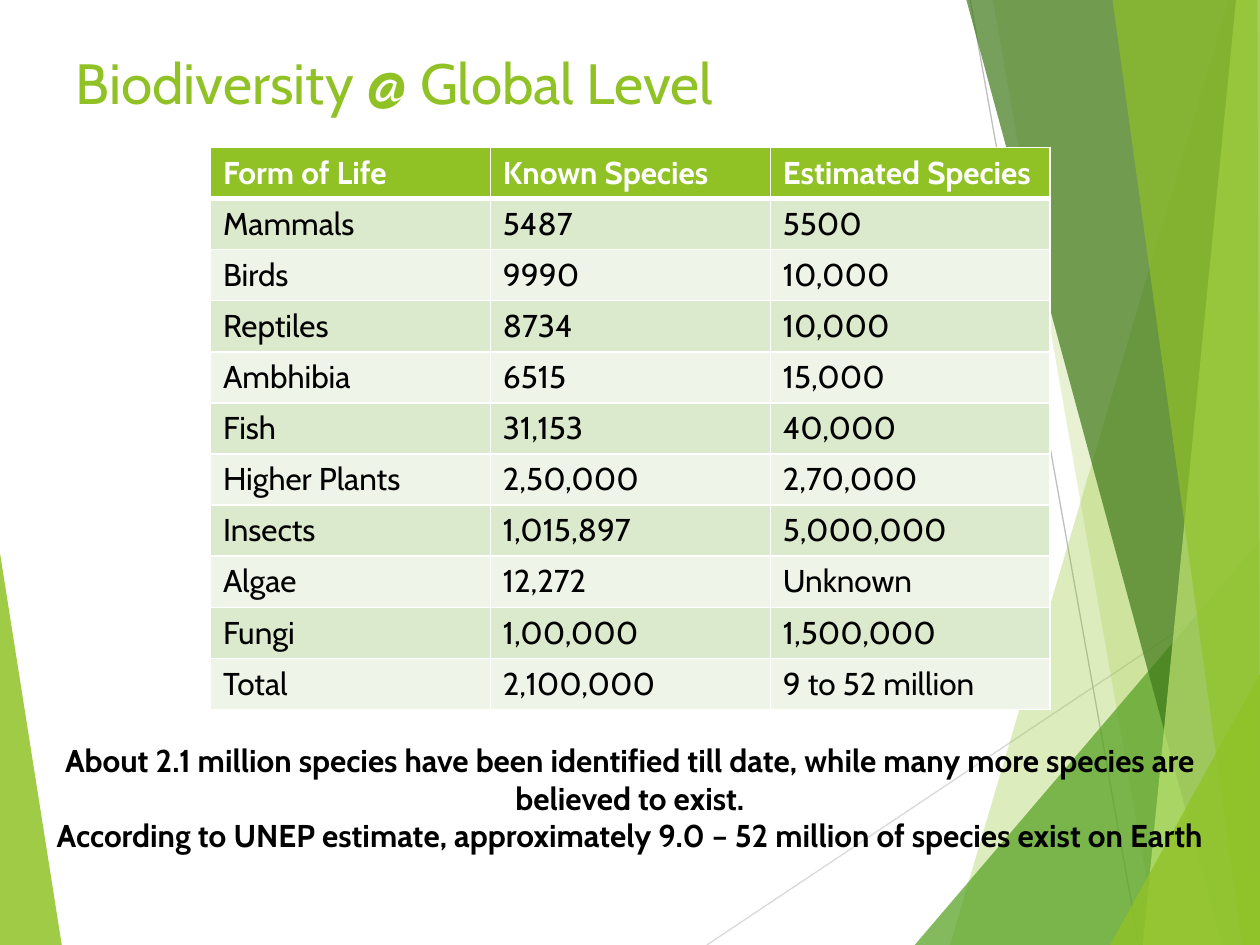
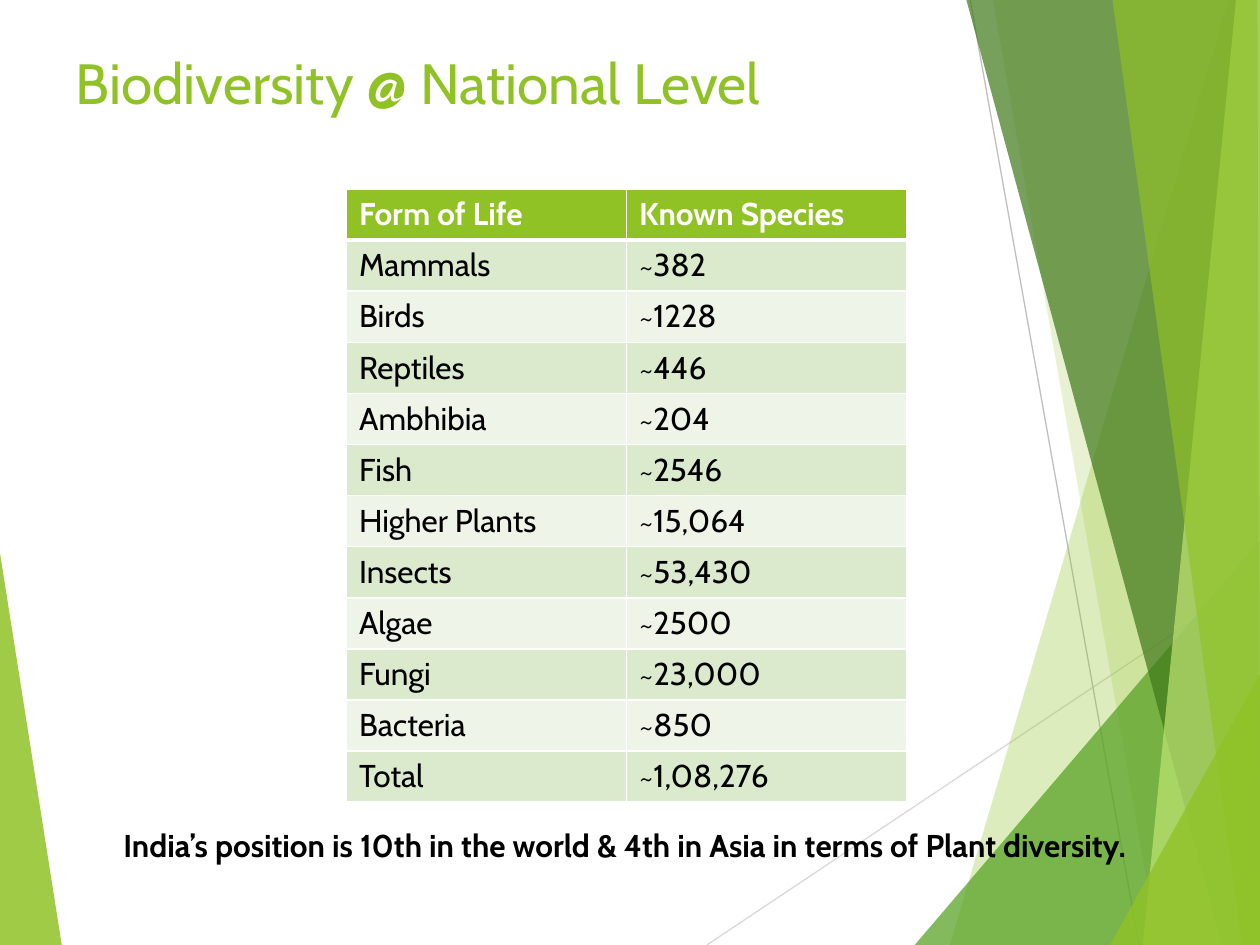
from dataclasses import dataclass

from lxml.etree import SubElement
from pptx import Presentation
from pptx.dml.color import RGBColor as Color
from pptx.enum.shapes import MSO_CONNECTOR as Connector
from pptx.enum.text import MSO_ANCHOR as Anchor, MSO_AUTO_SIZE as AutoSize, PP_ALIGN as Align
from pptx.oxml.ns import qn
from pptx.util import Inches, Pt


@dataclass(frozen=True)
class Theme:
    font: str = "Cabin"
    title_size: float = 32.4
    text_size: float = 18
    green: str = "90C226"
    leaf: str = "54A021"
    forest: str = "3F7819"
    lime: str = "C0E474"
    white: str = "FFFFFF"
    black: str = "000000"
    bands: tuple = ("DBE9CD", "EEF4E8")


theme = Theme()
deck = Presentation()
deck.slide_width, deck.slide_height = Inches(10), Inches(7.5)
unit = deck.slide_width // 100  # the slide is a grid of 100 columns by 75 rows


def grid(*lengths):
    return [int(length * unit) for length in lengths]


def add_text(para, text, size, color, bold=False):
    span = para.add_run()
    span.text = text
    span.font.name, span.font.size, span.font.bold = theme.font, Pt(size), bold
    span.font.color.rgb = Color.from_string(color)


# Each shard: colour, opacity in percent, corners on the grid
shards = [
    (theme.green, 85, [(0, 43.9), (4.9, 75), (0, 75)]),
    (theme.green, 30, [(97.5, 0), (75.4, 75), (100, 75), (100, 0)]),
    (theme.green, 20, [(78.8, 0), (91.9, 75), (100, 75), (100, 0)]),
    (theme.leaf, 72, [(72.6, 75), (100, 42.9), (100, 75)]),
    (theme.forest, 70, [(76.7, 0), (97, 75), (100, 75), (100, 0)]),
    (theme.lime, 70, [(98.1, 0), (90.7, 75), (100, 75), (100, 0)]),
    (theme.green, 65, [(88.3, 0), (98.6, 75), (100, 75), (99.8, 0)]),
    (theme.green, 80, [(88.1, 75), (100, 53.5), (100, 75)]),
]
hairlines = [("D9D9D9", (56.1, 75, 100, 45.7)), ("BFBFBF", (77, 0, 90.4, 75))]

forms = ["Mammals", "Birds", "Reptiles", "Ambhibia", "Fish", "Higher Plants",
         "Insects", "Algae", "Fungi"]
pages = [
    {
        "title": "Biodiversity @ Global Level",
        "table_at": (16.7, 11.7),
        "columns": {
            "Form of Life": forms + ["Total"],
            "Known Species": ["5487", "9990", "8734", "6515", "31,153", "2,50,000",
                              "1,015,897", "12,272", "1,00,000", "2,100,000"],
            "Estimated Species": ["5500", "10,000", "10,000", "15,000", "40,000", "2,70,000",
                                  "5,000,000", "Unknown", "1,500,000", "9 to 52 million"],
        },
        "caption_at": (2.5, 58.3, 95, 13.1),
        "caption": [
            "About 2.1 million species have been identified till date, "
            "while many more species are believed to exist.",
            "According to UNEP estimate, approximately 9.0 – 52 million of species exist on Earth",
        ],
    },
    {
        "title": "Biodiversity @ National Level",
        "table_at": (27.5, 15),
        "columns": {
            "Form of Life": forms + ["Bacteria", "Total"],
            "Known Species": ["~382", "~1228", "~446", "~204", "~2546", "~15,064",
                              "~53,430", "~2500", "~23,000", "~850", "~1,08,276"],
        },
        "caption_at": (4.2, 65.1, 90.8, 4),
        "caption": ["India’s position is 10th in the world & 4th in Asia "
                    "in terms of Plant diversity."],
    },
]

layout = deck.slide_layouts[5]
slides = [deck.slides.add_slide(layout) for _ in pages]

# Draw the backdrop on the first slide, then move it to the shared layout
backdrop = []
for color, opacity, corners in shards:
    start, *others = [grid(*corner) for corner in corners]
    builder = slides[0].shapes.build_freeform(*start)
    builder.add_line_segments(others, close=True)
    shard = builder.convert_to_shape()
    shard.shadow.inherit = False
    shard.fill.solid()
    shard.fill.fore_color.rgb = Color.from_string(color)
    shard.line.fill.background()
    tint = shard.element.xpath("./p:spPr/a:solidFill/a:srgbClr")[0]
    SubElement(tint, qn("a:alpha"), val=str(opacity * 1000))
    backdrop.append(shard)

lines = []
for color, ends in hairlines:
    line = slides[0].shapes.add_connector(Connector.STRAIGHT, *grid(*ends))
    line.line.color.rgb = Color.from_string(color)
    line.line.width = Pt(0.75)
    SubElement(line.element.spPr, qn("a:effectLst"))
    lines.append(line)
backdrop[1:1] = lines  # the hairlines lie between the left and the right shards

for number, shape in enumerate(backdrop, start=100):
    shape.element.xpath(".//p:cNvPr")[0].set("id", str(number))
    layout.shapes.element.append(shape.element)

for slide, page in zip(slides, pages):
    title = slide.shapes.title
    title.left, title.top, title.width, title.height = grid(5, 3, 90, 7)
    frame = title.text_frame
    frame.auto_size, frame.vertical_anchor = AutoSize.NONE, Anchor.MIDDLE
    frame.paragraphs[0].alignment = Align.LEFT
    add_text(frame.paragraphs[0], page["title"], theme.title_size, theme.green)

    columns = page["columns"]
    rows = [list(columns), *zip(*columns.values())]
    column_width, row_height = grid(22.22, 4.05)
    table = slide.shapes.add_table(
        len(rows), len(columns), *grid(*page["table_at"]),
        column_width * len(columns), row_height * len(rows)).table
    for r, row in enumerate(rows):
        for c, text in enumerate(row):
            cell = table.cell(r, c)
            header = r == 0
            widths = {"L": 1, "R": 1, "T": 3 if r == 1 else 1, "B": 3 if header else 1}
            for side, width in widths.items():
                border = SubElement(cell._tc.get_or_add_tcPr(), qn(f"a:ln{side}"), w=str(Pt(width)))
                paint = SubElement(border, qn("a:solidFill"))
                SubElement(paint, qn("a:srgbClr"), val=theme.white)
            cell.fill.solid()
            cell.fill.fore_color.rgb = Color.from_string(
                theme.green if header else theme.bands[(r - 1) % 2])
            add_text(cell.text_frame.paragraphs[0], text, theme.text_size,
                     theme.white if header else theme.black, bold=header)

    box = slide.shapes.add_textbox(*grid(*page["caption_at"]))
    frame = box.text_frame
    frame.word_wrap = True
    for i, text in enumerate(page["caption"]):
        para = frame.add_paragraph() if i else frame.paragraphs[0]
        para.alignment = Align.CENTER
        add_text(para, text, theme.text_size, theme.black, bold=True)

deck.save("out.pptx")
